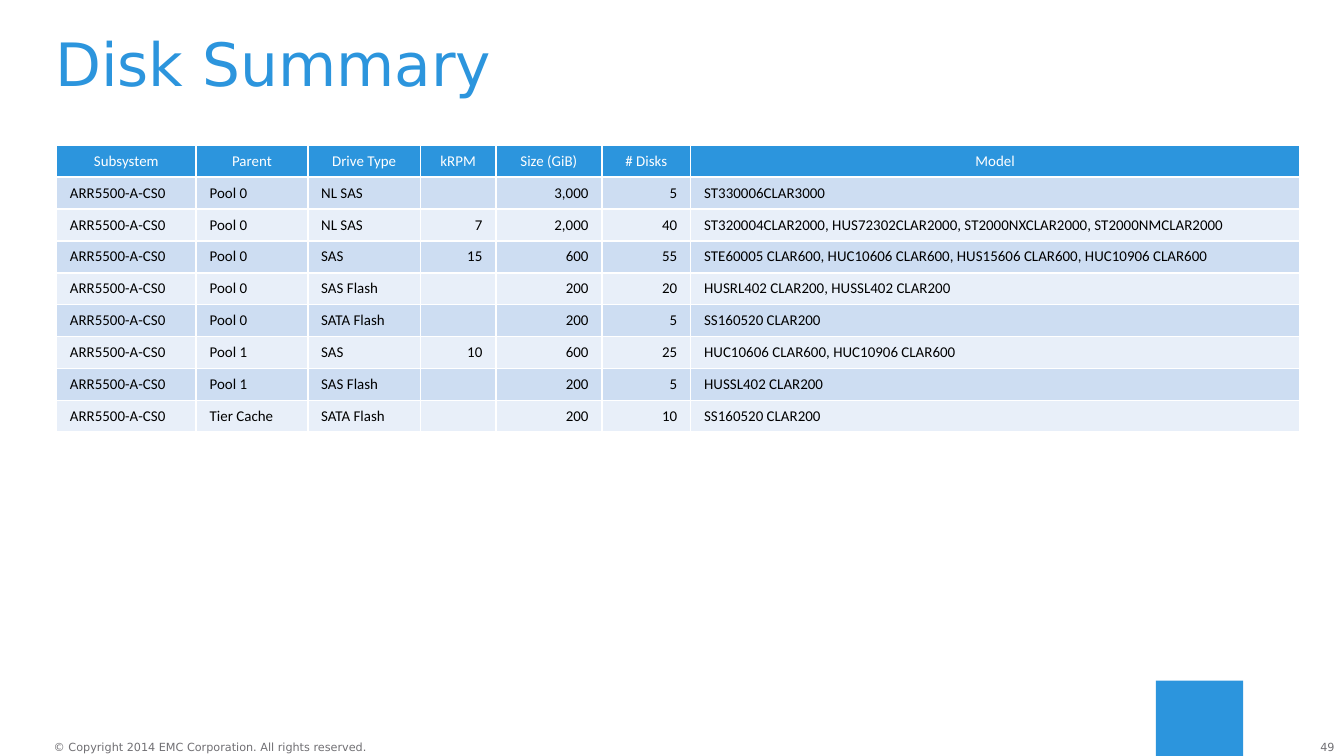
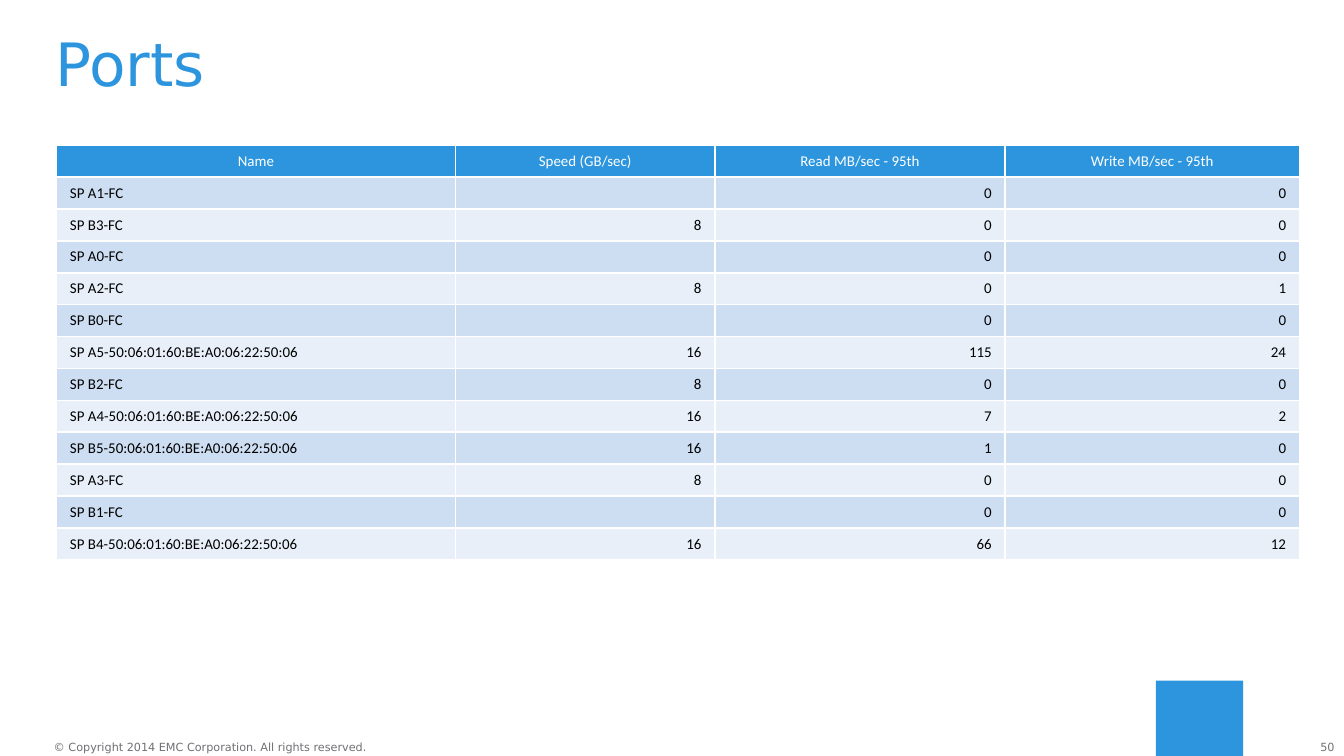
from collections import namedtuple
from dataclasses import dataclass

from lxml.etree import SubElement
from pptx import Presentation
from pptx.dml.color import RGBColor as RGB
from pptx.enum.shapes import MSO_SHAPE as SHAPE
from pptx.enum.text import MSO_ANCHOR as ANCHOR, MSO_AUTO_SIZE as FIT, PP_ALIGN as ALIGN
from pptx.oxml.ns import qn
from pptx.util import Inches, Pt

Box = namedtuple("Box", "left top width height")


@dataclass(frozen=True)
class Theme:
    """Colours, fonts and type sizes of the deck."""
    blue: str = "2C95DD"
    white: str = "FFFFFF"
    black: str = "000000"
    grey: str = "717074"
    bands: tuple = ("CDDDF2", "E8EFF9")
    heading_font: str = "DejaVu Sans"
    table_font: str = "Calibri"
    title_size: int = 32
    table_size: int = 8
    footer_size: int = 6
    rule: int = 1


THEME = Theme()
PAGE = Box(0, 0, 10, 10 * 9 / 16)
TITLE = Box(0.41, 0.25, 9.25, 0.5)
TABLE = Box(0.42, 1.08, 9.25, 0.81)
ROW_HEIGHT = 0.95 / 4
COPYRIGHT = "© Copyright 2014 EMC Corporation. All rights reserved."

HEADING = {"name": THEME.heading_font, "size": Pt(THEME.title_size)}
FOOTER = {"name": THEME.heading_font, "size": Pt(THEME.footer_size)}
CELL = {"name": THEME.table_font, "size": Pt(THEME.table_size), "bold": False}

Listing = namedtuple("Listing", "title number widths numeric header rows")

ARRAY = "ARR5500-A-CS0"
DISKS = Listing(
    "Disk Summary", 49, (1.04, 0.83, 0.84, 0.56, 0.79, 0.66, 4.53), {3, 4, 5},
    ("Subsystem", "Parent", "Drive Type", "kRPM", "Size (GiB)", "# Disks", "Model"),
    [(ARRAY, *row) for row in (
        ("Pool 0", "NL SAS", "", "3,000", "5", "ST330006CLAR3000"),
        ("Pool 0", "NL SAS", "7", "2,000", "40",
         "ST320004CLAR2000, HUS72302CLAR2000, ST2000NXCLAR2000, ST2000NMCLAR2000"),
        ("Pool 0", "SAS", "15", "600", "55",
         "STE60005 CLAR600, HUC10606 CLAR600, HUS15606 CLAR600, HUC10906 CLAR600"),
        ("Pool 0", "SAS Flash", "", "200", "20", "HUSRL402 CLAR200, HUSSL402 CLAR200"),
        ("Pool 0", "SATA Flash", "", "200", "5", "SS160520 CLAR200"),
        ("Pool 1", "SAS", "10", "600", "25", "HUC10606 CLAR600, HUC10906 CLAR600"),
        ("Pool 1", "SAS Flash", "", "200", "5", "HUSSL402 CLAR200"),
        ("Tier Cache", "SATA Flash", "", "200", "10", "SS160520 CLAR200"),
    )])

ADDRESS = "50:06:01:60:BE:A0:06:22:50:06"
PORTS = Listing(
    "Ports", 50, (2.97, 1.93, 2.16, 2.19), {1, 2, 3},
    ("Name", "Speed (GB/sec)", "Read MB/sec - 95th", "Write MB/sec - 95th"),
    [(f"SP {port}-{kind}", *values) for port, kind, *values in (
        ("A1", "FC", "", "0", "0"),
        ("B3", "FC", "8", "0", "0"),
        ("A0", "FC", "", "0", "0"),
        ("A2", "FC", "8", "0", "1"),
        ("B0", "FC", "", "0", "0"),
        ("A5", ADDRESS, "16", "115", "24"),
        ("B2", "FC", "8", "0", "0"),
        ("A4", ADDRESS, "16", "7", "2"),
        ("B5", ADDRESS, "16", "1", "0"),
        ("A3", "FC", "8", "0", "0"),
        ("B1", "FC", "", "0", "0"),
        ("B4", ADDRESS, "16", "66", "12"),
    )])


def apply(target, formats):
    """Set each attribute named in a dict of format values."""
    for name, value in formats.items():
        setattr(target, name, value)


def lengths(box):
    """Turn a box in inches into slide lengths."""
    return [Inches(value) for value in box]


def write(para, text, formats, color, align=ALIGN.LEFT):
    """Fill a paragraph with one formatted span."""
    para.alignment = align
    if not text:
        SubElement(para._p, qn("a:endParaRPr"), sz=str(int(formats["size"].pt * 100)))
        return
    span = para.add_run()
    span.text = text
    apply(span.font, formats)
    span.font.color.rgb = RGB.from_string(color)


def add_label(page, box, text, formats, color, align=ALIGN.LEFT, **frame_formats):
    """Place a text box without margins and return its paragraph."""
    frame = page.shapes.add_textbox(*lengths(box)).text_frame
    margins = dict.fromkeys(
        ("margin_left", "margin_top", "margin_right", "margin_bottom"), 0)
    apply(frame, {"word_wrap": True, **margins, **frame_formats})
    para = frame.paragraphs[0]
    write(para, text, formats, color, align)
    return para


def add_footer(page, box, number):
    """Draw the page number, blue block and copyright line in the page box."""
    right, bottom = box.left + box.width, box.top + box.height
    add_label(page, Box(right - 0.38, bottom - 0.12, 0.31, 0.1), str(number),
              FOOTER, THEME.grey, ALIGN.RIGHT, auto_size=FIT.SHAPE_TO_FIT_TEXT)
    block = page.shapes.add_shape(
        SHAPE.RECTANGLE, *lengths(Box(right - 1.4, bottom - 0.56, 0.65, 0.56)))
    block.shadow.inherit = False
    block.fill.solid()
    block.fill.fore_color.rgb = RGB.from_string(THEME.blue)
    block.line.fill.background()
    add_label(page, Box(box.left + 0.4, bottom - 0.12, 2.37, 0.1), COPYRIGHT,
              FOOTER, THEME.grey, word_wrap=False, auto_size=FIT.SHAPE_TO_FIT_TEXT)


def add_title(page, box, text):
    """Write the slide title in the middle of its box."""
    para = add_label(page, box, text, HEADING, THEME.blue,
                     vertical_anchor=ANCHOR.MIDDLE)
    para.line_spacing = 0.9


def style_cell(cell, fill):
    """Give a cell its fill and white borders."""
    properties = cell._tc.get_or_add_tcPr()
    for side in "LRTB":
        line = SubElement(properties, qn(f"a:ln{side}"), w=str(Pt(THEME.rule)))
        SubElement(SubElement(line, qn("a:solidFill")), qn("a:srgbClr"), val=THEME.white)
    cell.fill.solid()
    cell.fill.fore_color.rgb = RGB.from_string(fill)


def add_listing(page, box, listing):
    """Draw a listing as a banded table in its box."""
    lines = [listing.header, *listing.rows]
    table = page.shapes.add_table(len(lines), len(listing.widths), *lengths(box)).table
    table.horz_banding = False
    for column, width in zip(table.columns, listing.widths):
        column.width = Inches(width)
    for index, (row, texts) in enumerate(zip(table.rows, lines)):
        row.height = Inches(ROW_HEIGHT)
        header = index == 0
        fill = THEME.blue if header else THEME.bands[(index - 1) % 2]
        color = THEME.white if header else THEME.black
        for column, (cell, text) in enumerate(zip(row.cells, texts)):
            body_align = ALIGN.RIGHT if column in listing.numeric else ALIGN.LEFT
            style_cell(cell, fill)
            write(cell.text_frame.paragraphs[0], text, CELL, color,
                  ALIGN.CENTER if header else body_align)


def add_listing_page(deck, listing):
    """Add a slide with footer, title and table."""
    page = deck.slides.add_slide(deck.slide_layouts[6])
    add_footer(page, PAGE, listing.number)
    add_title(page, TITLE, listing.title)
    add_listing(page, TABLE, listing)


def main():
    """Build and save the deck."""
    deck = Presentation()
    apply(deck, {"slide_width": Inches(PAGE.width), "slide_height": Inches(PAGE.height)})
    for listing in (DISKS, PORTS):
        add_listing_page(deck, listing)
    deck.save("out.pptx")


if __name__ == "__main__":
    main()
